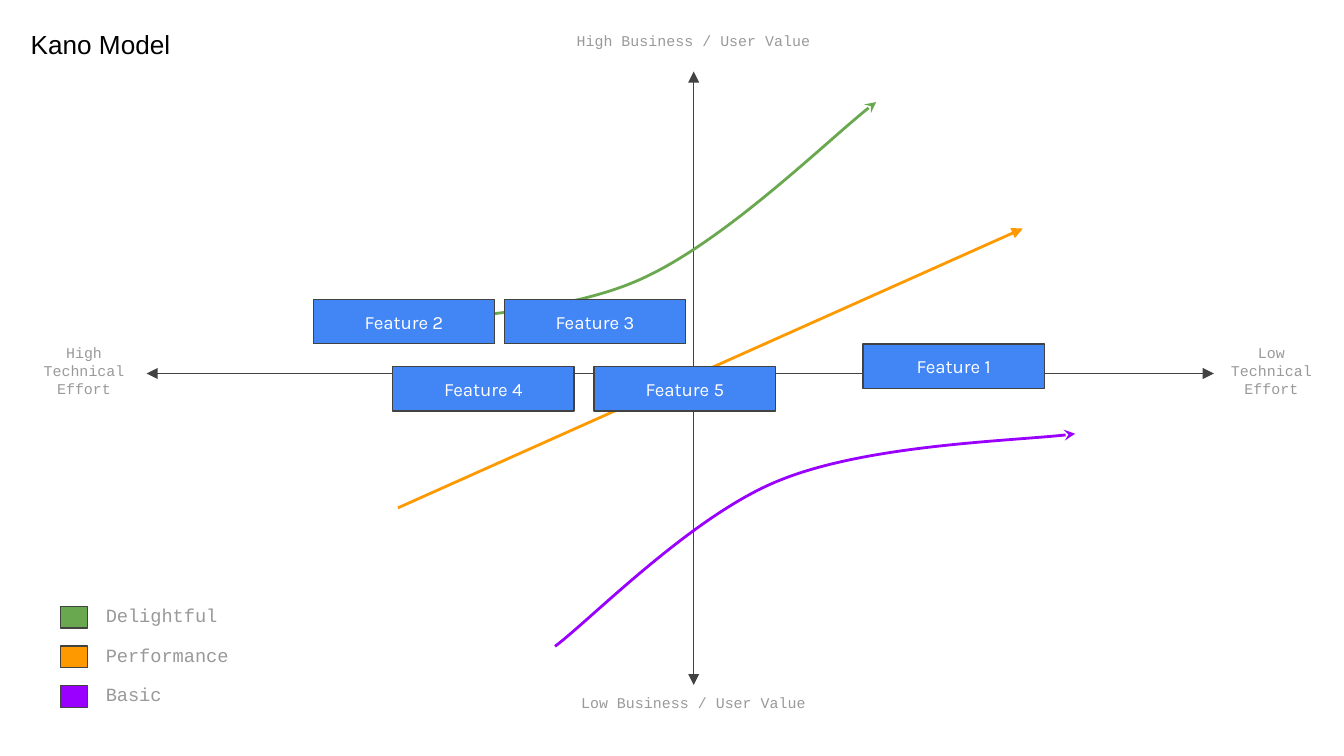
from pptx import Presentation
from pptx.dml.color import RGBColor
from pptx.enum.shapes import MSO_CONNECTOR, MSO_SHAPE
from pptx.enum.text import MSO_ANCHOR, PP_ALIGN
from pptx.oxml.ns import qn
from pptx.util import Cm, Pt
from lxml.etree import SubElement

COLORS = {
    "axis": "424242",
    "label": "999999",
    "title": "000000",
    "card": "4285F4",
    "white": "FFFFFF",
    "green": "6AA84F",
    "orange": "FF9900",
    "purple": "9900FF",
}
MONO = "Courier New"
DELIGHT = [(6.86, 6.17), (7.72, 6.02), (10.41, 6.02), (12.04, 5.31),
           (13.64, 4.62), (15.8, 2.49), (16.56, 1.93)]
BASIC = [(10.49, 12.22), (11.2, 11.68), (13.08, 9.75), (14.71, 9.09),
         (16.36, 8.41), (19.38, 8.33), (20.32, 8.2)]
LEGEND = [("Delightful", "green"), ("Performance", "orange"), ("Basic", "purple")]
LABELS = [
    ("High Business / User Value", (10.62, 0.43, 4.98, 0.91), MSO_ANCHOR.TOP),
    ("Low Business / User Value", (10.62, 12.95, 4.98, 0.91), MSO_ANCHOR.TOP),
    ("High Technical Effort", (0.28, 6.55, 2.62, 0.91), MSO_ANCHOR.MIDDLE),
    ("Low Technical Effort", (22.94, 6.55, 2.18, 0.91), MSO_ANCHOR.MIDDLE),
]
FEATURES = [(16.31, 6.5), (5.92, 5.66), (9.53, 5.66), (7.42, 6.93), (11.23, 6.93)]


def color(name):
    return RGBColor.from_string(COLORS[name])


def write(shape, text, size, font, ink, align=PP_ALIGN.LEFT, anchor=MSO_ANCHOR.TOP):
    frame = shape.text_frame
    frame.word_wrap = True
    frame.vertical_anchor = anchor
    frame.margin_left = frame.margin_right = Cm(0.25)
    frame.margin_top = frame.margin_bottom = Cm(0.25)
    para = frame.paragraphs[0]
    para.text = text
    para.alignment = align
    para.font.size = Pt(size)
    para.font.name = font
    para.font.color.rgb = color(ink)


def add_text(slide, box, *style):
    write(slide.shapes.add_textbox(*map(Cm, box)), *style)


def add_box(slide, box, fill):
    shape = slide.shapes.add_shape(MSO_SHAPE.RECTANGLE, *map(Cm, box))
    shape.shadow.inherit = False
    shape.fill.solid()
    shape.fill.fore_color.rgb = color(fill)
    shape.line.color.rgb = color("axis")
    shape.line.width = Pt(0.75)
    return shape


def style_line(shape, ink, width, **ends):
    shape.line.color.rgb = color(ink)
    shape.line.width = Pt(width)
    props = shape.line._get_or_add_ln()
    for end, kind in ends.items():
        SubElement(props, qn(f"a:{end}"), type=kind)


def add_line(slide, start, stop, ink, width, **ends):
    line = slide.shapes.add_connector(
        MSO_CONNECTOR.STRAIGHT, *map(Cm, start + stop))
    style_line(line, ink, width, **ends)
    SubElement(line._element.spPr, qn("a:effectLst"))


def add_curve(slide, points, ink):
    spots = [(Cm(x), Cm(y)) for x, y in points]
    build = slide.shapes.build_freeform(*spots[0])
    build.add_line_segments(spots[1:], close=False)
    shape = build.convert_to_shape()
    shape.shadow.inherit = False
    shape.fill.background()
    style_line(shape, ink, 1.5, tailEnd="stealth")
    steps = list(shape._element.iter(qn("a:lnTo")))
    route = steps[0].getparent()
    for i in range(0, len(steps), 3):
        curve = SubElement(route, qn("a:cubicBezTo"))
        for step in steps[i:i + 3]:
            curve.append(step[0])
            route.remove(step)


def add_legend(slide):
    for i, (text, fill) in enumerate(LEGEND):
        drop = 0.75 * i
        add_box(slide, (1.14, 11.46 + drop, 0.51, 0.41), fill)
        add_text(slide, (1.75, 11.2 + drop, 4.98, 0.91), text, 10, MONO, "label")


def main():
    deck = Presentation()
    deck.slide_width, deck.slide_height = Cm(25.4), Cm(14.29)
    slide = deck.slides.add_slide(deck.slide_layouts[6])
    both = {"headEnd": "triangle", "tailEnd": "triangle"}
    add_line(slide, (13.11, 1.35), (13.11, 12.95), "axis", 0.75, **both)
    add_line(slide, (22.94, 7.06), (2.77, 7.06), "axis", 0.75, **both)
    add_curve(slide, DELIGHT, "green")
    add_curve(slide, BASIC, "purple")
    add_line(slide, (7.52, 9.6), (19.33, 4.32), "orange", 1.5, tailEnd="triangle")
    add_legend(slide)
    for text, box, anchor in LABELS:
        add_text(slide, box, text, 8, MONO, "label", PP_ALIGN.CENTER, anchor)
    for i, (left, top) in enumerate(FEATURES, 1):
        card = add_box(slide, (left, top, 3.43, 0.84), "card")
        write(card, f"Feature {i}", 10, "Karla", "white",
              PP_ALIGN.CENTER, MSO_ANCHOR.MIDDLE)
    add_text(slide, (0.33, 0.28, 3.96, 0.79), "Kano Model", 14, "Arial", "title")
    deck.save("out.pptx")


main()
